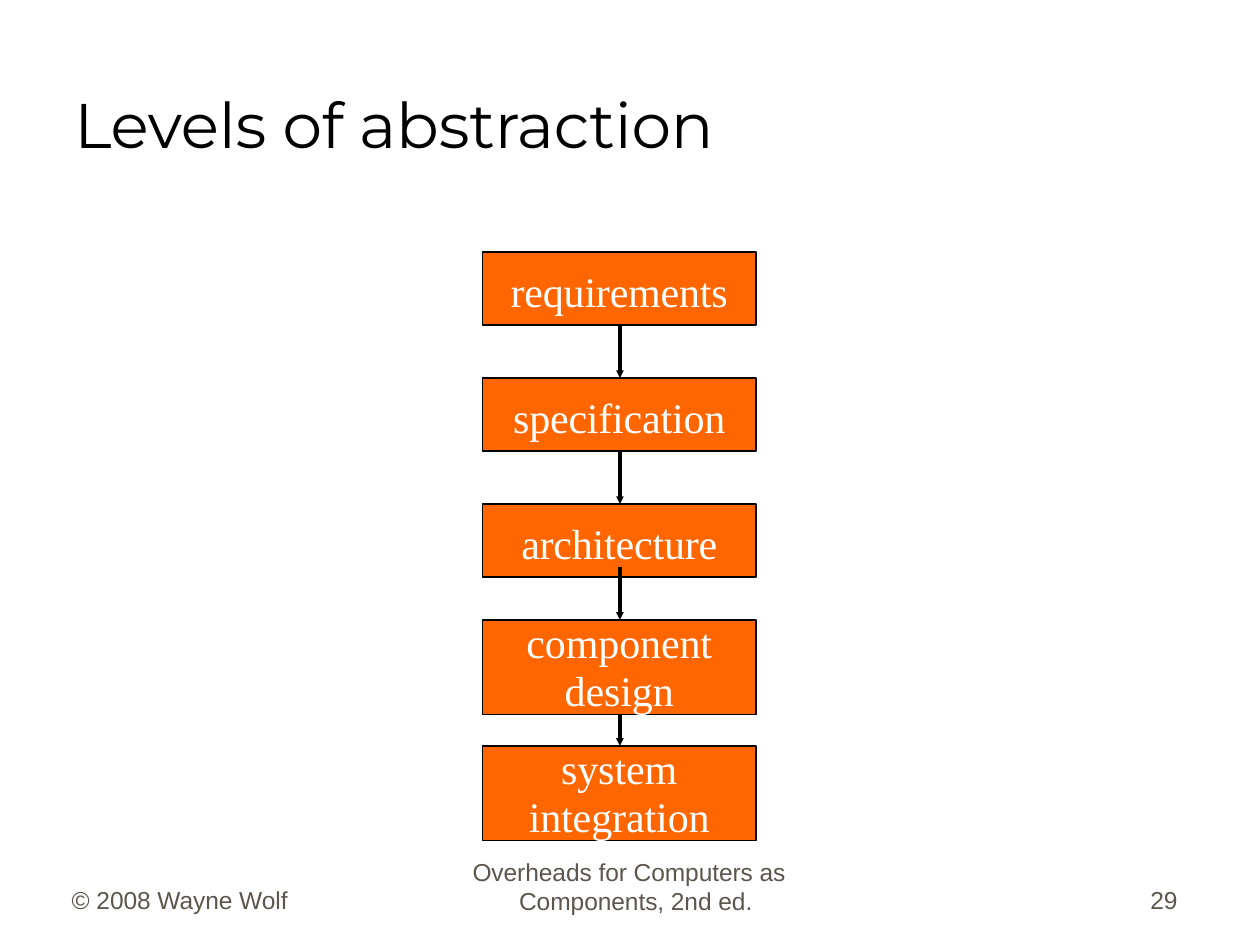
from lxml import etree
from pptx import Presentation
from pptx.dml.color import RGBColor
from pptx.enum.shapes import MSO_CONNECTOR, MSO_SHAPE
from pptx.enum.text import MSO_ANCHOR, PP_ALIGN
from pptx.oxml.ns import qn
from pptx.util import Inches, Pt

THEME = {
    "black": RGBColor.from_string("000000"),
    "orange": RGBColor.from_string("FF6600"),
    "white": RGBColor.from_string("FFFFFF"),
    "grey": RGBColor.from_string("5D564D"),
    "title": ("Montserrat", 36),
    "level": ("Times New Roman", 24),
    "footer": ("Arial", 14),
}


def write_text(box, lines, style, color, spacing=-0.1, top=0, **paragraph_format):
    frame = box.text_frame
    frame.word_wrap = True
    frame.margin_left = frame.margin_right = frame.margin_bottom = 0
    frame.margin_top = Inches(top)
    for index, line in enumerate(lines):
        para = frame.paragraphs[0] if index == 0 else frame.add_paragraph()
        for name, value in paragraph_format.items():
            setattr(para, name, value)
        span = para.add_run()
        span.text = line
        font_name, size = THEME[style]
        for name, value in {"name": font_name, "size": Pt(size)}.items():
            setattr(span.font, name, value)
        span.font.color.rgb = THEME[color]
        span.font._element.set("spc", str(round(spacing * 100)))
    return frame


def add_arrow(page, x, start, end):
    arrow = page.shapes.add_connector(
        MSO_CONNECTOR.STRAIGHT, Inches(x), Inches(start), Inches(x), Inches(end))
    arrow.line.color.rgb = THEME["black"]
    arrow.line.width = Pt(2.2)
    line = arrow.line._get_or_add_ln()
    etree.SubElement(line, qn("a:tailEnd"), type="triangle", w="sm", len="sm")
    etree.SubElement(arrow._element.spPr, qn("a:effectLst"))


deck = Presentation()
deck.slide_width, deck.slide_height = Inches(10), Inches(7.5)
page = deck.slides.add_slide(deck.slide_layouts[5])
page.background.fill.solid()
page.background.fill.fore_color.rgb = THEME["white"]

title = page.shapes.title
for name, value in {"left": 0.59, "top": 0.67, "width": 5.8, "height": 0.63}.items():
    setattr(title, name, Inches(value))
frame = write_text(title, ["Levels of abstraction"], "title", "black",
                   top=0.01, alignment=PP_ALIGN.LEFT, space_before=Pt(1))
frame.vertical_anchor = MSO_ANCHOR.TOP

LEFT, WIDTH = 3.83, 2.17
CENTER = 4.92
LEVELS = [
    (2, 0.58, ["requirements"]),
    (3, 0.58, ["specification"]),
    (4, 0.58, ["architecture"]),
    (4.92, 0.75, ["component", "design"]),
    (5.92, 0.75, ["system", "integration"]),
]
for top, height, lines in LEVELS:
    box = page.shapes.add_shape(
        MSO_SHAPE.RECTANGLE, Inches(LEFT), Inches(top), Inches(WIDTH), Inches(height))
    box.shadow.inherit = False
    box.fill.solid()
    box.fill.fore_color.rgb = THEME["orange"]
    box.line.color.rgb = THEME["black"]
    box.line.width = Pt(1)
    single = len(lines) == 1
    frame = write_text(box, lines, "level", "white",
                       spacing=-0.1 if single else -0.05, top=0.04 if single else 0,
                       alignment=PP_ALIGN.CENTER, line_spacing=None if single else Pt(27))
    frame.vertical_anchor = MSO_ANCHOR.MIDDLE

for start, end in [(2.58, 3), (3.58, 4), (4.5, 4.92), (5.67, 5.92)]:
    add_arrow(page, CENTER, start, end)

FOOTERS = [
    (3.73, 6.8, 2.55, 0.48, "Overheads for Computers as Components, 2nd ed.", 16.7, 0.39, -0.37),
    (0.56, 7.03, 1.9, 0.25, "© 2008 Wayne Wolf", 16.4, 0.01, 0),
    (9.1, 7.03, 0.3, 0.25, "29", 16.4, 0.03, 0),
]
for left, top, width, height, text, line_height, margin, indent in FOOTERS:
    box = page.shapes.add_textbox(Inches(left), Inches(top), Inches(width), Inches(height))
    frame = write_text(box, [text], "footer", "grey", spacing=-0.05,
                       line_spacing=Pt(line_height))
    properties = frame.paragraphs[0]._p.get_or_add_pPr()
    properties.set("marL", str(Inches(margin)))
    properties.set("indent", str(Inches(indent)))

deck.save("out.pptx")
